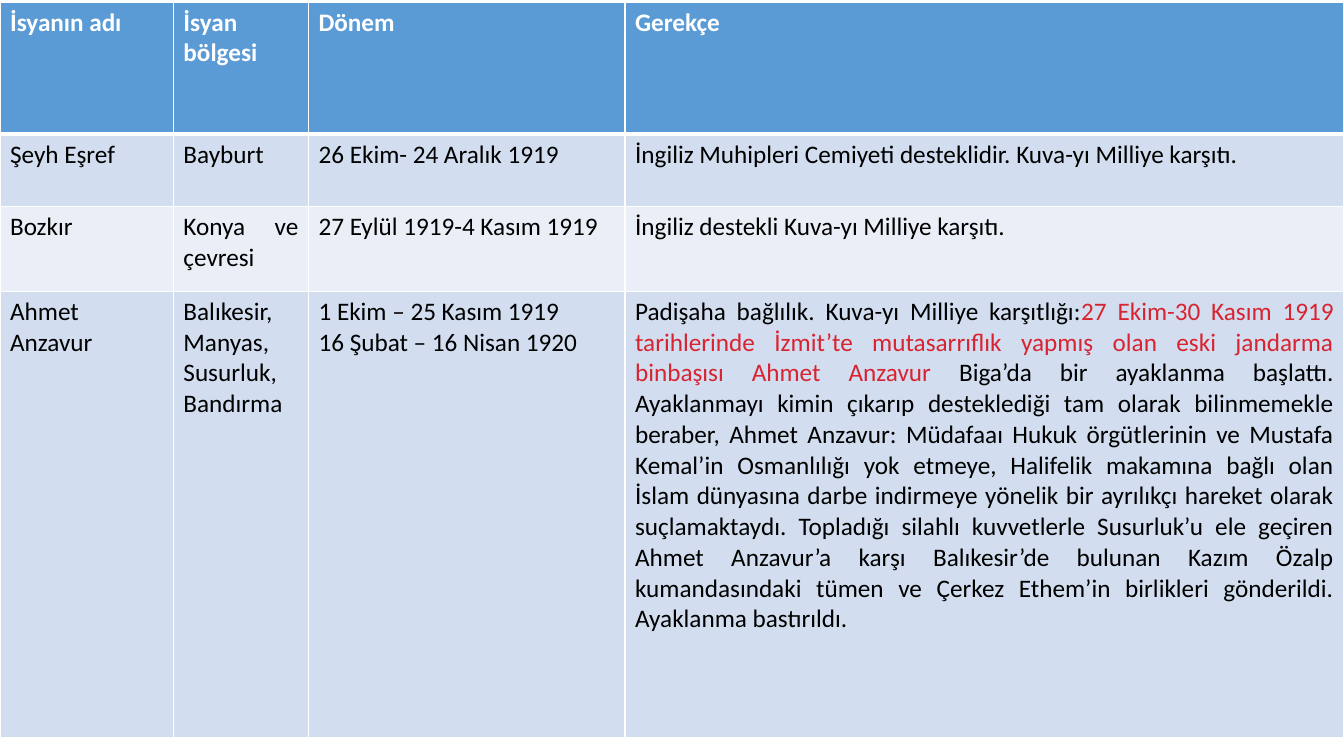
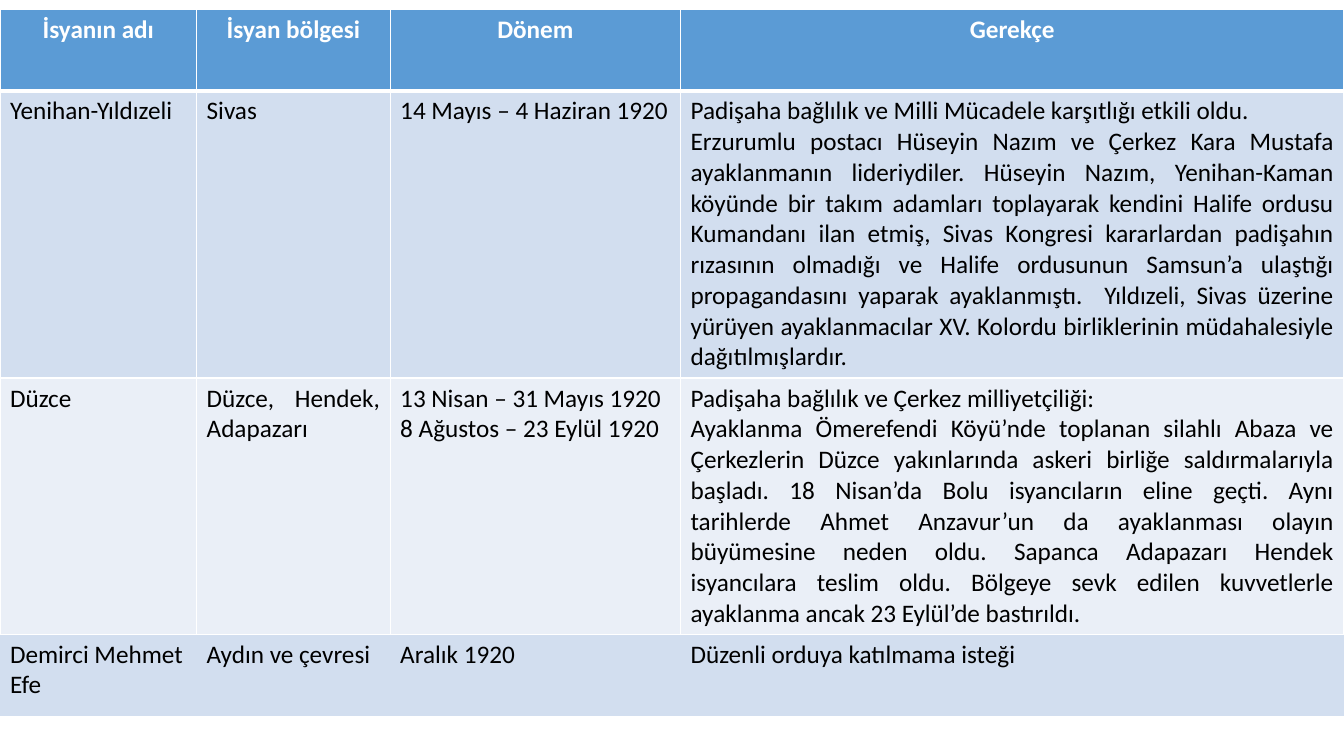
import dataclasses

import lxml.etree
import pptx
import pptx.dml.color
import pptx.enum.text
import pptx.oxml.ns
import pptx.presentation
import pptx.table
import pptx.util

Inches = pptx.util.Inches
Align = pptx.enum.text.PP_ALIGN

FONT = "Calibri"
FONT_SIZE = 18
COLORS = {
    "header": "5B9BD5",
    "band_dark": "D2DEEF",
    "band_light": "EAEFF7",
    "border": "FFFFFF",
    "header_text": "FFFFFF",
    "text": "000000",
    "highlight": "D82331",
}
HEADINGS = ("İsyanın adı", "İsyan bölgesi", "Dönem", "Gerekçe")
THIN, THICK = 1, 3


@dataclasses.dataclass(frozen=True)
class RevoltTable:
    """One table slide; lengths in inches, a line break starts a paragraph."""
    top: float
    columns: tuple[float, ...]
    heights: tuple[float, ...]
    rows: tuple[tuple[str, ...], ...]
    header_align: Align = Align.JUSTIFY
    highlight: str = ""
    open_last_row: bool = False  # left-aligned, bordered only at the top


TABLES = (
    RevoltTable(
        top=0.02,
        columns=(1.72, 1.34, 3.14, 7.13),
        heights=(1.31, 0.72, 0.84, 4.43),
        highlight=(
            "27 Ekim-30 Kasım 1919 tarihlerinde İzmit’te mutasarrıflık yapmış "
            "olan eski jandarma binbaşısı Ahmet Anzavur"
        ),
        rows=(
            (
                "Şeyh Eşref",
                "Bayburt",
                "26 Ekim- 24 Aralık 1919",
                "İngiliz Muhipleri Cemiyeti desteklidir. Kuva-yı Milliye karşıtı.",
            ),
            (
                "Bozkır",
                "Konya ve çevresi",
                "27 Eylül 1919-4 Kasım 1919",
                "İngiliz destekli Kuva-yı Milliye karşıtı.",
            ),
            (
                "Ahmet Anzavur",
                "Balıkesir, Manyas, Susurluk, Bandırma",
                "1 Ekim – 25 Kasım 1919\n16 Şubat – 16 Nisan 1920",
                "Padişaha bağlılık. Kuva-yı Milliye karşıtlığı:"
                "27 Ekim-30 Kasım 1919 tarihlerinde İzmit’te mutasarrıflık yapmış "
                "olan eski jandarma binbaşısı Ahmet Anzavur Biga’da bir ayaklanma "
                "başlattı. Ayaklanmayı kimin çıkarıp desteklediği tam olarak "
                "bilinmemekle beraber, Ahmet Anzavur: Müdafaaı Hukuk örgütlerinin ve "
                "Mustafa Kemal’in Osmanlılığı yok etmeye, Halifelik makamına bağlı "
                "olan İslam dünyasına darbe indirmeye yönelik bir ayrılıkçı hareket "
                "olarak suçlamaktaydı. Topladığı silahlı kuvvetlerle Susurluk’u ele "
                "geçiren Ahmet Anzavur’a karşı Balıkesir’de bulunan Kazım Özalp "
                "kumandasındaki tümen ve Çerkez Ethem’in birlikleri gönderildi. "
                "Ayaklanma bastırıldı.",
            ),
        ),
    ),
    RevoltTable(
        top=0.09,
        columns=(1.95, 1.92, 2.88, 6.58),
        heights=(0.81, 2.85, 2.54, 0.81),
        header_align=Align.CENTER,
        open_last_row=True,
        rows=(
            (
                "Yenihan-Yıldızeli",
                "Sivas",
                "14 Mayıs – 4 Haziran 1920",
                "Padişaha bağlılık ve Milli Mücadele karşıtlığı etkili oldu.\n"
                "Erzurumlu postacı Hüseyin Nazım ve Çerkez Kara Mustafa ayaklanmanın "
                "lideriydiler. Hüseyin Nazım, Yenihan-Kaman köyünde bir takım "
                "adamları toplayarak kendini Halife ordusu Kumandanı ilan etmiş, "
                "Sivas Kongresi kararlardan padişahın rızasının olmadığı ve Halife "
                "ordusunun Samsun’a ulaştığı propagandasını yaparak ayaklanmıştı.  "
                "Yıldızeli, Sivas üzerine yürüyen ayaklanmacılar XV. Kolordu "
                "birliklerinin müdahalesiyle dağıtılmışlardır.",
            ),
            (
                "Düzce",
                "Düzce, Hendek, Adapazarı",
                "13 Nisan – 31 Mayıs 1920\n8 Ağustos – 23 Eylül 1920",
                "Padişaha bağlılık ve Çerkez milliyetçiliği:\n"
                "Ayaklanma Ömerefendi Köyü’nde toplanan silahlı Abaza ve Çerkezlerin "
                "Düzce yakınlarında askeri birliğe saldırmalarıyla başladı. 18 "
                "Nisan’da Bolu isyancıların eline geçti. Aynı tarihlerde Ahmet "
                "Anzavur’un da ayaklanması olayın büyümesine neden oldu. Sapanca "
                "Adapazarı Hendek isyancılara teslim oldu. Bölgeye sevk edilen "
                "kuvvetlerle ayaklanma ancak 23 Eylül’de bastırıldı.",
            ),
            (
                "Demirci Mehmet Efe",
                "Aydın ve çevresi",
                "Aralık 1920",
                "Düzenli orduya katılmama isteği",
            ),
        ),
    ),
)


def rgb(name: str) -> pptx.dml.color.RGBColor:
    return pptx.dml.color.RGBColor.from_string(COLORS[name])


def write_text(cell: pptx.table._Cell, text: str, *, color: str = "text",
               bold: bool = False, align: Align = Align.JUSTIFY,
               highlight: str = "") -> None:
    """Write one paragraph per line, with the highlighted phrase in its colour."""
    frame = cell.text_frame
    for index, line in enumerate(text.split("\n")):
        paragraph = frame.add_paragraph() if index else frame.paragraphs[0]
        paragraph.alignment = align
        before, phrase, after = line.partition(highlight) if highlight else (line, "", "")
        for part, part_color in ((before, color), (phrase, "highlight"), (after, color)):
            if part:
                run = paragraph.add_run()
                run.text = part
                run.font.name = FONT
                run.font.size = pptx.util.Pt(FONT_SIZE)
                run.font.bold = bold
                run.font.color.rgb = rgb(part_color)


def set_borders(cell: pptx.table._Cell, *, sides: int = THIN, top: int = THIN,
                bottom: int = THIN) -> None:
    """Set border widths in points; zero removes the border."""
    qn = pptx.oxml.ns.qn
    properties = cell._tc.get_or_add_tcPr()
    for tag, width in (("a:lnL", sides), ("a:lnR", sides),
                       ("a:lnT", top), ("a:lnB", bottom)):
        line = lxml.etree.SubElement(properties, qn(tag), w=str(pptx.util.Pt(width)))
        if width:
            fill = lxml.etree.SubElement(line, qn("a:solidFill"))
            lxml.etree.SubElement(fill, qn("a:srgbClr"), val=COLORS["border"])
        else:
            lxml.etree.SubElement(line, qn("a:noFill"))


def add_table_slide(presentation: pptx.presentation.Presentation,
                    content: RevoltTable) -> None:
    slide = presentation.slides.add_slide(presentation.slide_layouts[6])
    rows = (HEADINGS, *content.rows)
    table = slide.shapes.add_table(
        len(rows), len(HEADINGS), Inches(0), Inches(content.top),
        Inches(sum(content.columns)), Inches(sum(content.heights)),
    ).table
    for column, width in zip(table.columns, content.columns):
        column.width = Inches(width)
    for row, height in zip(table.rows, content.heights):
        row.height = Inches(height)

    for row_index, texts in enumerate(rows):
        is_header = row_index == 0
        is_open = content.open_last_row and row_index == len(rows) - 1
        band = "band_dark" if row_index % 2 else "band_light"
        for column_index, text in enumerate(texts):
            cell = table.cell(row_index, column_index)
            # Borders: a thick rule separates the header from the body
            set_borders(
                cell,
                sides=0 if is_open else THIN,
                top=THICK if row_index == 1 else THIN,
                bottom=THICK if is_header else 0 if is_open else THIN,
            )
            # Fill and text
            cell.fill.solid()
            cell.fill.fore_color.rgb = rgb("header" if is_header else band)
            if is_header:
                write_text(cell, text, color="header_text", bold=True,
                           align=content.header_align)
            else:
                write_text(cell, text, highlight=content.highlight,
                           align=Align.LEFT if is_open else Align.JUSTIFY)


def main() -> None:
    presentation = pptx.Presentation()
    presentation.slide_width = Inches(13.33)
    presentation.slide_height = Inches(7.5)
    for content in TABLES:
        add_table_slide(presentation, content)
    presentation.save("out.pptx")


if __name__ == "__main__":
    main()
